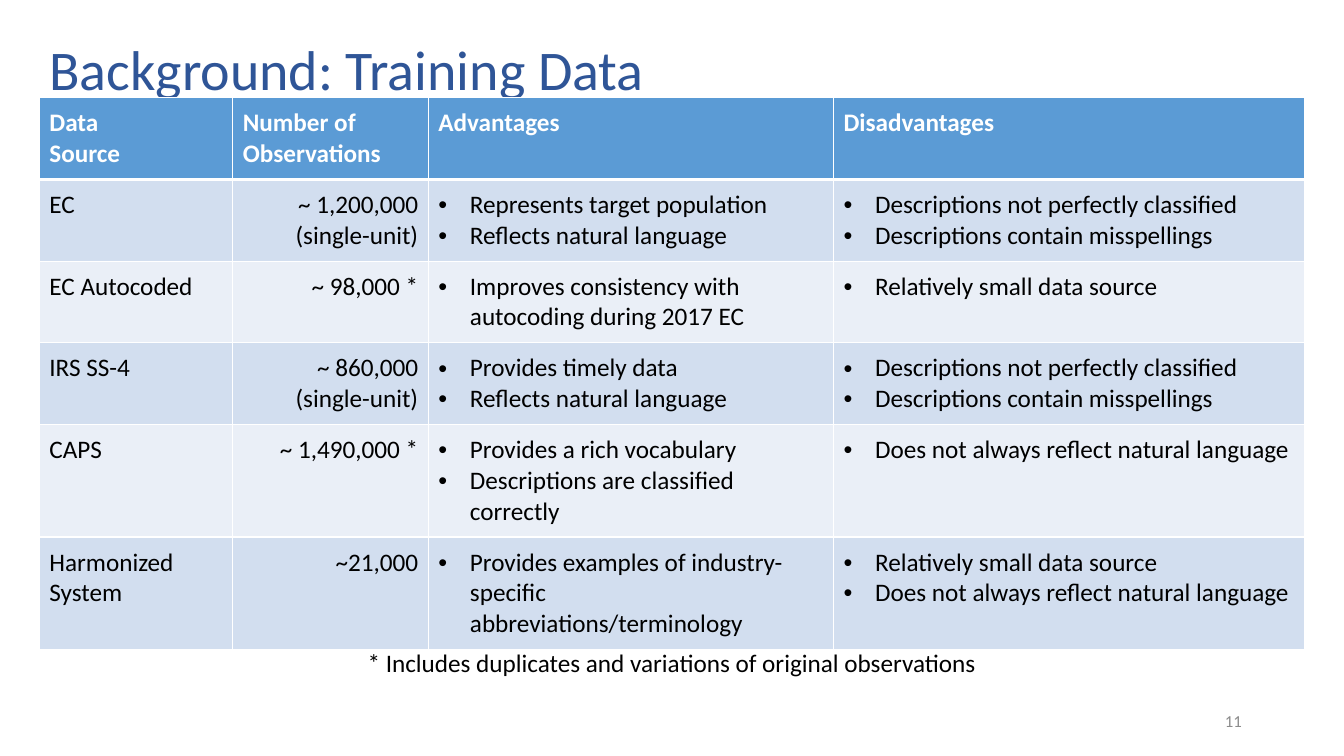
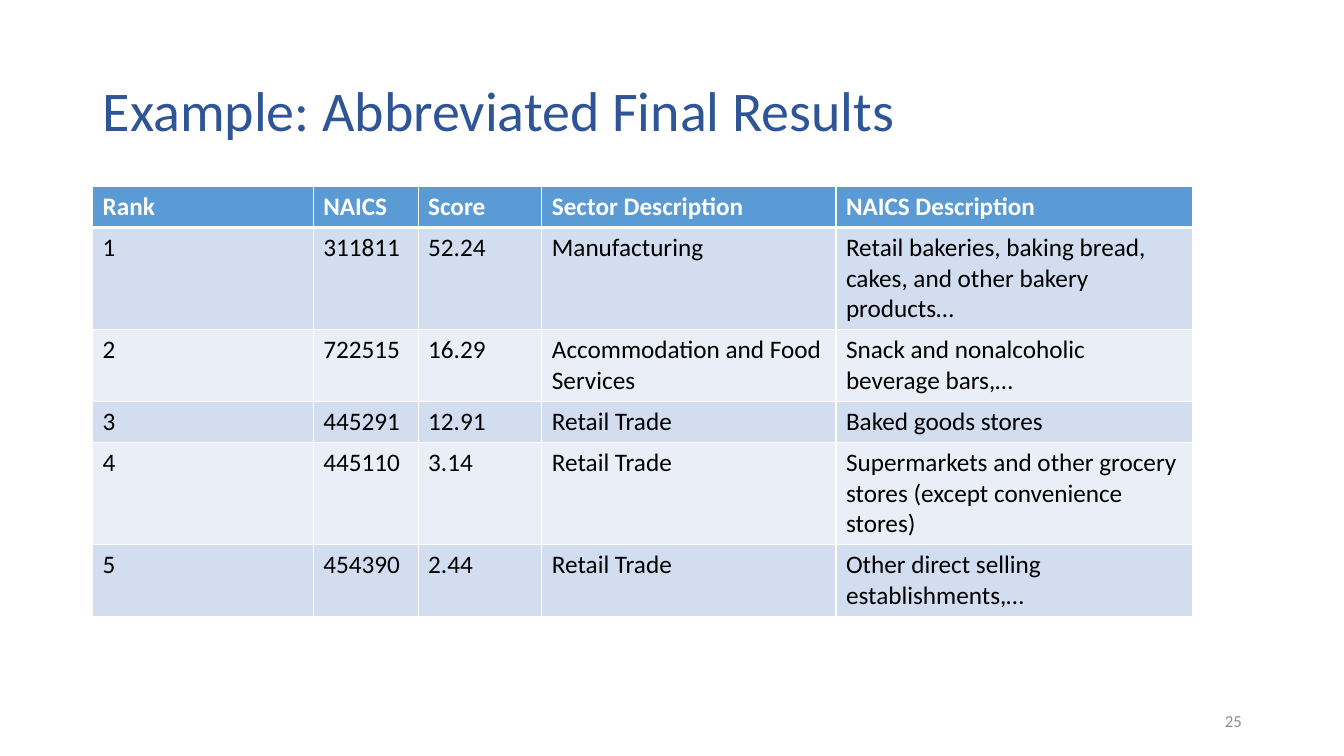
"""Build two table slides on training data and classification results."""
from lxml.etree import SubElement
from pptx import Presentation
from pptx.dml.color import RGBColor
from pptx.enum.text import MSO_ANCHOR as Anchor, MSO_AUTO_SIZE as AutoSize, PP_ALIGN as Align
from pptx.oxml.ns import qn
from pptx.util import Pt

TITLE_BLUE = RGBColor(0x2F, 0x55, 0x97)
HEADER_BLUE = RGBColor(0x5B, 0x9B, 0xD5)
BANDS = RGBColor(0xD2, 0xDE, 0xEF), RGBColor(0xEA, 0xEF, 0xF7)
WHITE = RGBColor(0xFF, 0xFF, 0xFF)
BLACK = RGBColor(0, 0, 0)
GRAY = RGBColor(0x8C, 0x8C, 0x8C)

TITLE_FONT = {"name": "Calibri", "size": Pt(40), "color": TITLE_BLUE}
HEADER_FONT = {"name": "Calibri", "size": Pt(18), "color": WHITE, "bold": True}
BODY_FONT = {"name": "Calibri", "size": Pt(18), "color": BLACK, "bold": False}
NUMBER_FONT = {"name": "Calibri", "size": Pt(12), "color": GRAY}
NUMBER_BOX = (678.2, 500.5, 216, 28.8)
BULLET_INDENT = Pt(22.5)

SMALL = "Relatively small data source"
UNNATURAL = "Does not always reflect natural language"
NATURAL = "Reflects natural language"
NOISY = "Descriptions not perfectly classified\nDescriptions contain misspellings"

SLIDES = [
    {
        "title": "Background: Training Data",
        "title_box": (28.1, 9.4, 903.6, 85),
        "number": "11",
        "table_at": (28.1, 69.8),
        "columns": (138.2, 139.7, 289.4, 336.2),
        "heights": (54.7, 54.7, 54.7, 54.7, 75.6, 75.6),
        "vertical_margin": 7.2,
        "right_columns": {1},
        "bullet_columns": {2, 3},
        "rows": [
            ("Data\nSource", "Number of\nObservations", "Advantages", "Disadvantages"),
            ("EC", "~ 1,200,000\n(single-unit)", f"Represents target population\n{NATURAL}", NOISY),
            ("EC Autocoded", "~ 98,000 *",
             "Improves consistency with autocoding during 2017 EC", SMALL),
            ("IRS SS-4", "~ 860,000\n(single-unit)", f"Provides timely data\n{NATURAL}", NOISY),
            ("CAPS", "~ 1,490,000 *",
             "Provides a rich vocabulary\nDescriptions are classified correctly", UNNATURAL),
            ("Harmonized\nSystem", "~21,000",
             "Provides examples of industry-specific abbreviations/terminology",
             f"{SMALL}\n{UNNATURAL}"),
        ],
        "note": "* Includes duplicates and variations of original observations",
        "note_box": (211.7, 458.6, 536.4, 29),
    },
    {
        "title": "Example: Abbreviated Final Results",
        "title_box": (66.2, 28.8, 828, 104.4),
        "number": "25",
        "table_at": (66.2, 133.2),
        "columns": (157.6, 74.9, 88.4, 210.1, 254.7),
        "heights": (29.2,) * 6,
        "vertical_margin": 3.6,
        "right_columns": set(),
        "bullet_columns": set(),
        "rows": [
            ("Rank", "NAICS", "Score", "Sector Description", "NAICS Description"),
            ("1", "311811", "52.24", "Manufacturing",
             "Retail bakeries, baking bread, cakes, and other bakery products…"),
            ("2", "722515", "16.29", "Accommodation and Food Services",
             "Snack and nonalcoholic beverage bars,…"),
            ("3", "445291", "12.91", "Retail Trade", "Baked goods stores"),
            ("4", "445110", "3.14", "Retail Trade",
             "Supermarkets and other grocery stores (except convenience stores)"),
            ("5", "454390", "2.44", "Retail Trade", "Other direct selling establishments,…"),
        ],
    },
]


def set_all(target, values):
    for name, value in values.items():
        setattr(target, name, value)


def write(frame, text, font, align=Align.LEFT, bulleted=False):
    for index, line in enumerate(text.split("\n")):
        paragraph = frame.paragraphs[0] if index == 0 else frame.add_paragraph()
        if bulleted:
            properties = paragraph._p.get_or_add_pPr()
            properties.set("marL", str(BULLET_INDENT))
            properties.set("indent", str(-BULLET_INDENT))
            SubElement(properties, qn("a:buFont"), typeface="Arial")
            SubElement(properties, qn("a:buChar"), char="•")
        paragraph.alignment = align
        run = paragraph.add_run()
        run.text = line
        set_all(run.font, {key: value for key, value in font.items() if key != "color"})
        run.font.color.rgb = font["color"]


def add_text(slide, box, text, font, align, anchor):
    frame = slide.shapes.add_textbox(*map(Pt, box)).text_frame
    set_all(frame, {"word_wrap": True, "vertical_anchor": anchor})
    write(frame, text, font, align)


def add_title(slide, text, box):
    title = slide.shapes.title
    set_all(title, dict(zip(("left", "top", "width", "height"), map(Pt, box))))
    frame = title.text_frame
    set_all(frame, {"word_wrap": True, "auto_size": AutoSize.NONE,
                    "vertical_anchor": Anchor.MIDDLE})
    write(frame, text, TITLE_FONT)
    frame.paragraphs[0].line_spacing = 0.9


def set_borders(cell, row_index):
    widths = {"L": 1, "R": 1, "T": 3 if row_index == 1 else 1, "B": 3 if row_index == 0 else 1}
    for side, width in widths.items():
        line = SubElement(cell._tc.get_or_add_tcPr(), qn(f"a:ln{side}"), w=str(Pt(width)))
        SubElement(SubElement(line, qn("a:solidFill")), qn("a:srgbClr"), val=str(WHITE))


def add_data_table(slide, content):
    rows, columns, heights = content["rows"], content["columns"], content["heights"]
    size = sum(columns), sum(heights)
    table = slide.shapes.add_table(
        len(rows), len(columns), *map(Pt, content["table_at"] + size)).table
    for column, width in zip(table.columns, columns):
        column.width = Pt(width)
    margin = Pt(content["vertical_margin"])
    for row_index, texts in enumerate(rows):
        table.rows[row_index].height = Pt(heights[row_index])
        is_header = row_index == 0
        for column_index, text in enumerate(texts):
            cell = table.cell(row_index, column_index)
            set_all(cell, {"margin_left": Pt(7.2), "margin_right": Pt(7.2),
                           "margin_top": margin, "margin_bottom": margin})
            set_borders(cell, row_index)
            cell.fill.solid()
            cell.fill.fore_color.rgb = HEADER_BLUE if is_header else BANDS[(row_index - 1) % 2]
            to_right = not is_header and column_index in content["right_columns"]
            write(cell.text_frame, text, HEADER_FONT if is_header else BODY_FONT,
                  Align.RIGHT if to_right else Align.LEFT,
                  not is_header and column_index in content["bullet_columns"])


def main():
    deck = Presentation()
    set_all(deck, {"slide_width": Pt(960), "slide_height": Pt(540)})
    for content in SLIDES:
        slide = deck.slides.add_slide(deck.slide_layouts[5])
        add_title(slide, content["title"], content["title_box"])
        add_data_table(slide, content)
        if "note" in content:
            add_text(slide, content["note_box"], content["note"], BODY_FONT,
                     Align.CENTER, Anchor.TOP)
        add_text(slide, NUMBER_BOX, content["number"], NUMBER_FONT, Align.RIGHT, Anchor.MIDDLE)
    deck.save("out.pptx")


if __name__ == "__main__":
    main()
